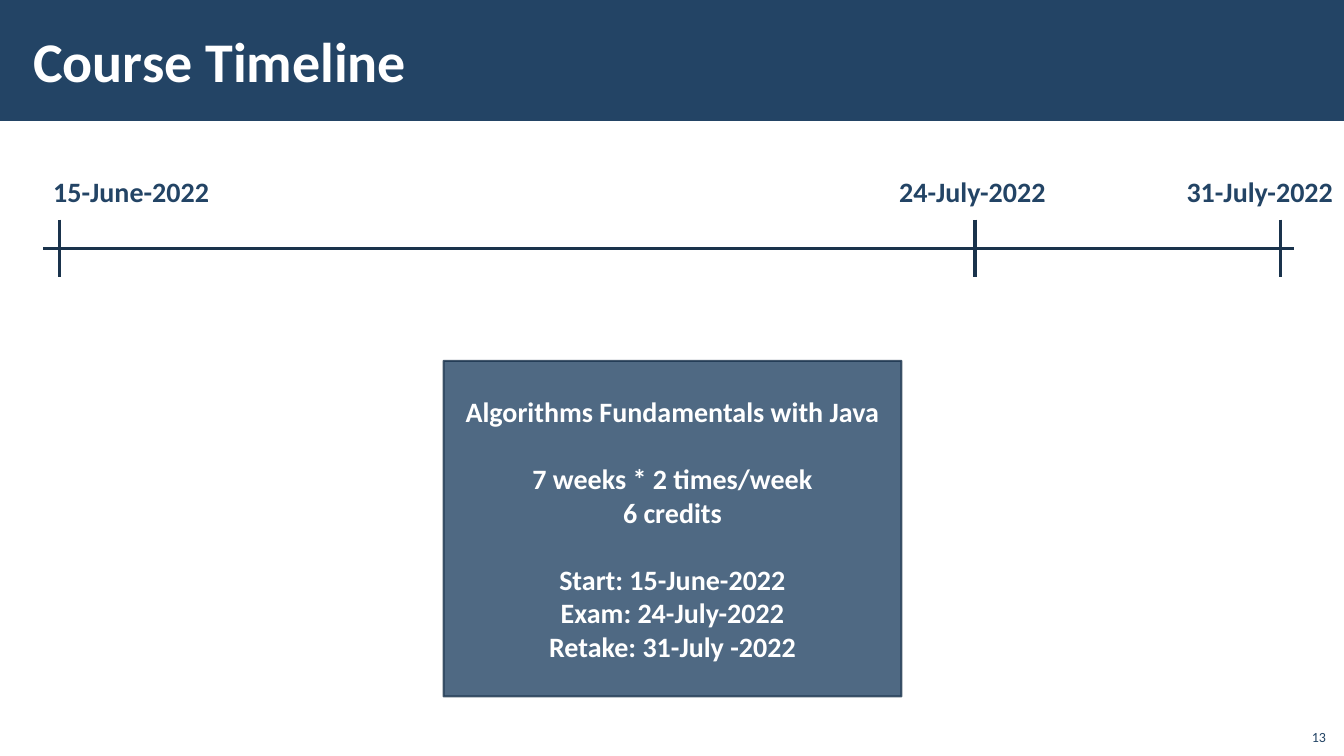
from lxml import etree
from pptx import Presentation
from pptx.dml.color import RGBColor
from pptx.enum.shapes import MSO_CONNECTOR, MSO_SHAPE
from pptx.enum.text import MSO_ANCHOR, PP_ALIGN
from pptx.oxml.ns import qn
from pptx.util import Inches, Pt

STRAIGHT = MSO_CONNECTOR.STRAIGHT
RECTANGLE = MSO_SHAPE.RECTANGLE
LEFT, CENTER, RIGHT = PP_ALIGN.LEFT, PP_ALIGN.CENTER, PP_ALIGN.RIGHT
TOP, MIDDLE, BOTTOM = MSO_ANCHOR.TOP, MSO_ANCHOR.MIDDLE, MSO_ANCHOR.BOTTOM

FONT = "Calibri"
COLORS = {"navy": "234465", "dark": "1A334C", "white": "FFFFFF"}
TITLE_ONLY = 5

# date, tick x, label x
MILESTONES = [
    ("15-June-2022", 0.59, 0.43),
    ("24-July-2022", 9.67, 8.82),
    ("31-July-2022", 12.7, 11.67),
]
COURSE_FACTS = [
    ["Algorithms Fundamentals with Java"],
    ["7 weeks * 2 times/week", "6 credits"],
    ["Start: 15-June-2022", "Exam: 24-July-2022", "Retake: 31-July -2022"],
]


def rgb(name):
    return RGBColor.from_string(COLORS[name])


def style(paragraph, size, color, align=LEFT, bold=True):
    paragraph.alignment = align
    font = paragraph.font
    font.name, font.size, font.bold = FONT, Pt(size), bold
    font.color.rgb = rgb(color)


def set_opacity(color_format_parent, percent):
    """Add an alpha value to the solid colour inside a fill or line element."""
    color = color_format_parent.find(".//" + qn("a:srgbClr"))
    etree.SubElement(color, qn("a:alpha")).set("val", str(percent * 1000))


def add_rule(slide, x1, y1, x2, y2):
    rule = slide.shapes.add_connector(
        STRAIGHT, Inches(x1), Inches(y1), Inches(x2), Inches(y2))
    rule.line.color.rgb = rgb("dark")
    rule.line.width = Pt(2.25)
    etree.SubElement(rule._element.spPr, qn("a:effectLst"))


def add_label(slide, box, text, size, align=LEFT, anchor=TOP, bold=True):
    label = slide.shapes.add_textbox(*map(Inches, box))
    frame = label.text_frame
    frame.word_wrap = True
    frame.vertical_anchor = anchor
    frame.text = text
    style(frame.paragraphs[0], size, "navy", align, bold)
    return frame


def add_panel(slide, box):
    panel = slide.shapes.add_shape(RECTANGLE, *map(Inches, box))
    panel.shadow.inherit = False
    panel.fill.solid()
    panel.fill.fore_color.rgb = rgb("navy")
    return panel


def add_header(slide, left, top, width, height):
    band = add_panel(slide, (left, top, width, height))
    band.line.fill.background()
    title = slide.shapes.title
    band._element.addnext(title._element)
    title.left, title.top = Inches(left + 0.21), Inches(top + 0.11)
    title.width, title.height = Inches(10.39), Inches(0.97)
    frame = title.text_frame
    frame.margin_left = frame.margin_right = Inches(0.12)
    frame.margin_top = frame.margin_bottom = Inches(0.04)
    frame.vertical_anchor = MIDDLE
    frame.text = "Course Timeline"
    style(frame.paragraphs[0], 40, "white")


def add_timeline(slide, left, top, width, height):
    """Draw dates along the top of the box and ticks down to its bottom."""
    tick_height = 0.57
    bottom = top + height
    axis_y = bottom - tick_height / 2
    add_rule(slide, left, axis_y, left + width, axis_y)
    for date, tick_x, label_x in MILESTONES:
        add_rule(slide, tick_x, bottom - tick_height, tick_x, bottom)
        frame = add_label(slide, (label_x, top, 1.66, 0.44), date, 20)
        frame.margin_right = 0


def add_course_card(slide, left, top, width, height):
    card = add_panel(slide, (left, top, width, height))
    set_opacity(card._element.spPr.find(qn("a:solidFill")), 80)
    card.line.color.rgb = rgb("dark")
    card.line.width = Pt(1.5)
    set_opacity(card._element.spPr.find(qn("a:ln")), 80)
    frame = card.text_frame
    frame.word_wrap = True
    frame.vertical_anchor = MIDDLE
    paragraph = frame.paragraphs[0]
    for group_index, group in enumerate(COURSE_FACTS):
        for line_index, fact in enumerate(group):
            if group_index or line_index:
                paragraph = frame.add_paragraph()
            paragraph.text = fact
            style(paragraph, 20, "white", CENTER)
            if group_index and not line_index:
                paragraph.space_before = Pt(24)


def main():
    deck = Presentation()
    deck.slide_width, deck.slide_height = Inches(13.33), Inches(7.5)
    slide = deck.slides.add_slide(deck.slide_layouts[TITLE_ONLY])
    add_header(slide, 0, 0, 13.33, 1.2)
    add_timeline(slide, 0.43, 1.68, 12.4, 1.07)
    add_course_card(slide, 4.4, 3.58, 4.54, 3.33)
    add_label(slide, (12.85, 7.12, 0.4, 0.32), "13", 10, RIGHT, BOTTOM, False)
    deck.save("out.pptx")


if __name__ == "__main__":
    main()
